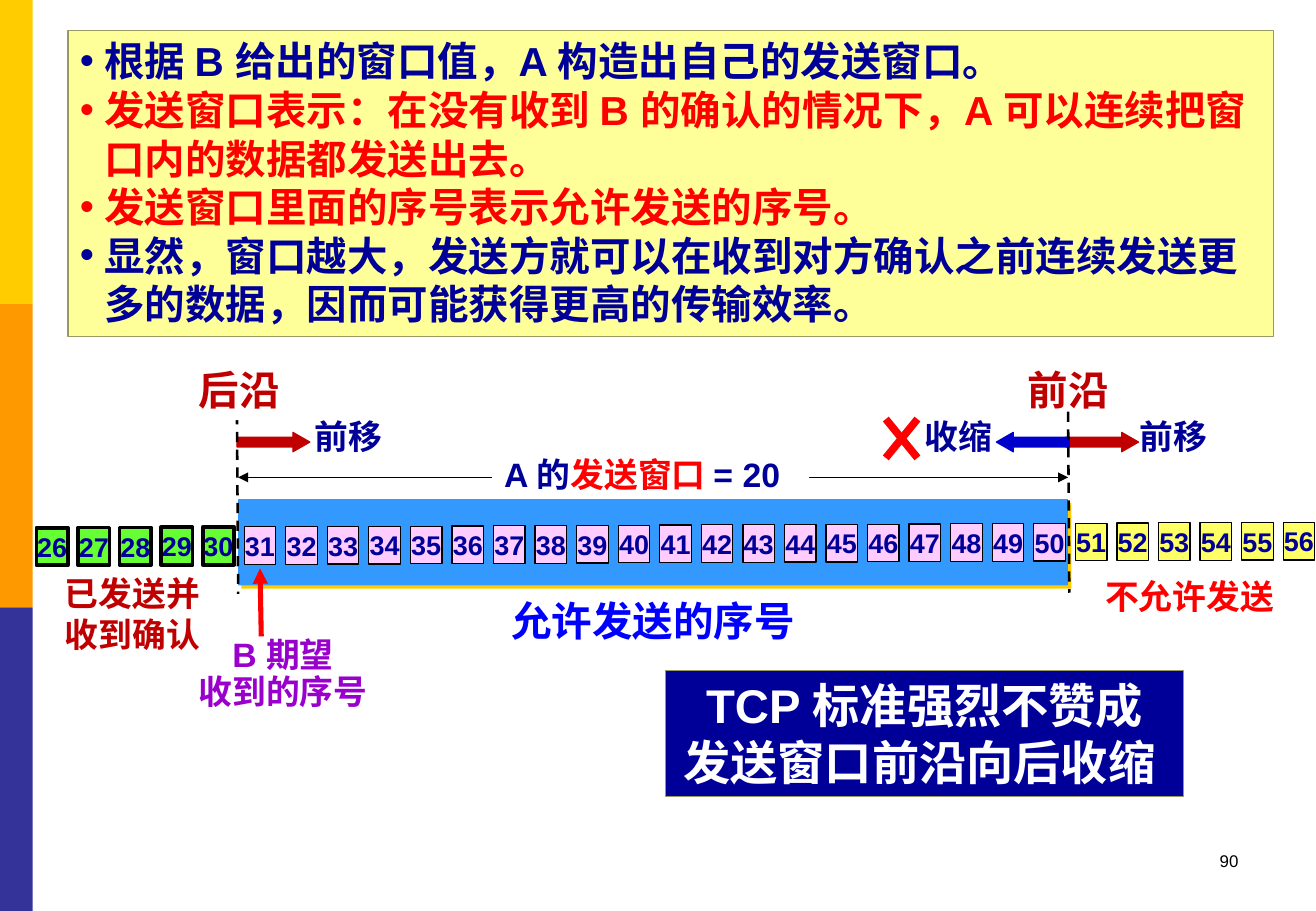
from lxml import etree
from pptx import Presentation
from pptx.dml.color import RGBColor
from pptx.enum.dml import MSO_LINE
from pptx.enum.shapes import MSO_CONNECTOR, MSO_SHAPE
from pptx.enum.text import MSO_ANCHOR, PP_ALIGN
from pptx.oxml.ns import qn
from pptx.util import Inches, Pt

RECT, RIGHT, LEFT = MSO_SHAPE.RECTANGLE, MSO_SHAPE.RIGHT_ARROW, MSO_SHAPE.LEFT_ARROW
DASH, STRAIGHT = MSO_LINE.DASH, MSO_CONNECTOR.STRAIGHT
MID, TOP = MSO_ANCHOR.MIDDLE, MSO_ANCHOR.TOP
CENTER, START, END = PP_ALIGN.CENTER, PP_ALIGN.LEFT, PP_ALIGN.RIGHT

COLORS = {
    "gold": "FFCC00", "orange": "FF9900", "indigo": "333399", "white": "FFFFFF",
    "navy": "000099", "brick": "C00000", "blue": "0000CC", "bright": "0000FF",
    "red": "FF0000", "black": "000000", "sky": "3399FF", "green": "66FF33",
    "pink": "FFCCFF", "lemon": "FFFF66", "purple": "9900CC", "cream": "FFFF99",
    "olive": "999966",
}
FONT = "Arial"
COLS, ROWS = 1083, 750
WIDTH, HEIGHT = Inches(10.83), Inches(7.5)

BANDS = ["gold", "orange", "indigo"]
NOTES = [
    ("根据 B 给出的窗口值，A 构造出自己的发送窗口。", "navy"),
    ("发送窗口表示：在没有收到 B 的确认的情况下，A 可以连续把窗口内的数据都发送出去。", "red"),
    ("发送窗口里面的序号表示允许发送的序号。", "red"),
    ("显然，窗口越大，发送方就可以在收到对方确认之前连续发送更多的数据，因而可能获得更高的传输效率。", "navy"),
]
ADVICE = ["TCP 标准强烈不赞成", "发送窗口前沿向后收缩 "]
SPAN = [[("A 的", "navy"), ("发送窗口 ", "red"), ("= 20", "navy")]]
GROUPS = [(26, 30, "green", 2.25), (31, 50, "pink", 0.75), (51, 56, "lemon", 0.75)]
ARROWS = [(RIGHT, 877, "brick"), (LEFT, 820, "blue"), (RIGHT, 195, "brick")]
UNDER = [
    ((928, 337, 76, 44), ["前移"], "navy", 20),
    ((899, 469, 160, 44), ["不允许发送"], "red", 20),
    ((43, 467, 132, 77), ["已发送并", "收到确认"], "brick", 20),
    ((409, 486, 257, 50), ["允许发送的序号"], "bright", 24),
]
EDGES = [
    ((835, 296, 88, 50), ["前沿"], "brick", 24),
    ((153, 296, 88, 50), ["后沿"], "brick", 24),
]
MOVES = [
    ((249, 337, 76, 44), ["前移"], "navy", 20),
    ((751, 337, 76, 44), ["收缩"], "navy", 20),
]

prs = Presentation()
prs.slide_width, prs.slide_height = WIDTH, HEIGHT
slide = prs.slides.add_slide(prs.slide_layouts[6])
shapes = slide.shapes


def rgb(name):
    return RGBColor.from_string(COLORS[name])


def across(col):
    return round(WIDTH * col / COLS)


def down(row):
    return round(HEIGHT * row / ROWS)


def place(area):
    x, y, w, h = area
    return across(x), down(y), across(w), down(h)


def block(area, fill, edge=None, weight=0.75, kind=RECT):
    shape = shapes.add_shape(kind, *place(area))
    shape.shadow.inherit = False
    shape.fill.solid()
    shape.fill.fore_color.rgb = rgb(fill)
    if edge:
        shape.line.color.rgb = rgb(edge)
        shape.line.width = Pt(weight)
    else:
        shape.line.fill.background()
    return shape


def write(shape, paras, size, align=CENTER, anchor=TOP, wrap=False, bold=True, space=None):
    frame = shape.text_frame
    frame.word_wrap, frame.vertical_anchor = wrap, anchor
    for i, parts in enumerate(paras):
        para = frame.paragraphs[0] if i == 0 else frame.add_paragraph()
        para.alignment = align
        if space:
            para.line_spacing = space
        for text, color in parts:
            run = para.add_run()
            run.text = text
            font = run.font
            font.name, font.size, font.bold = FONT, Pt(size), bold
            font.color.rgb = rgb(color)


def label(area, lines, color, size, fill=None, **style):
    shape = block(area, fill) if fill else shapes.add_textbox(*place(area))
    write(shape, [[(text, color)] for text in lines], size, **style)


def line(start, end, color, weight, dash=None, tips=()):
    (x1, y1), (x2, y2) = start, end
    link = shapes.add_connector(STRAIGHT, across(x1), down(y1), across(x2), down(y2))
    link.line.color.rgb = rgb(color)
    link.line.width = Pt(weight)
    if dash:
        link.line.dash_style = dash
    props = link._element.spPr
    for tip in tips:
        etree.SubElement(props.find(qn("a:ln")), qn(tip), type="triangle")
    etree.SubElement(props, qn("a:effectLst"))


def bullet(para):
    props = para._p.get_or_add_pPr()
    indent = Inches(0.2)
    props.set("marL", str(indent))
    props.set("indent", str(-indent))
    etree.SubElement(props, qn("a:buFont"), typeface=FONT)
    etree.SubElement(props, qn("a:buChar"), char="•")


def cast(shape, color):
    effects = shape._element.spPr.find(qn("a:effectLst"))
    shade = etree.SubElement(effects, qn("a:outerShdw"), blurRad="0", dist=str(Pt(2.8)),
                             dir="2700000", algn="ctr", rotWithShape="0")
    etree.SubElement(shade, qn("a:srgbClr"), val=COLORS[color])


def main():
    tall = ROWS / len(BANDS)
    for i, color in enumerate(BANDS):
        block((0, i * tall, 27, tall), color)

    label(*UNDER[0], fill="white")
    for kind, x, color in ARROWS:
        arrow = block((x, 356, 60, 16), color, color, kind=kind)
        arrow.adjustments[0], arrow.adjustments[1] = 0.5, 0.87
    for item in UNDER[1:3]:
        label(*item, fill="white")
    line((196, 393), (879, 393), "black", 0.75, tips=("a:headEnd", "a:tailEnd"))
    write(block((405, 369, 261, 44), "white"), SPAN, 20, START)
    label(*UNDER[3], fill="white")

    cast(block((196, 411, 683, 71), "sky"), "gold")
    first = GROUPS[0][0]
    for low, high, color, weight in GROUPS:
        for num in range(low, high + 1):
            step = num - first
            cell = block((30 + 34.2 * step, 434.5 - 0.15 * step, 26, 31), color, "black", weight)
            write(cell, [[(str(num), "navy")]], 16, anchor=MID)

    line((215, 524), (214, 468), "red", 3, tips=("a:tailEnd",))
    label((153, 521, 160, 71), ["B 期望", "收到的序号"], "purple", 20, space=0.9)
    line((195, 341), (196, 489), "black", 1.5, DASH)
    for item in EDGES:
        label(*item, fill="white")
    line((879, 339), (880, 488), "black", 1.5, DASH)
    for item in MOVES:
        label(*item)
    for x1, x2 in [(755, 729), (729, 755)]:
        line((x1, 345), (x2, 377), "red", 4.5)

    notes = block((56, 25, 992, 252), "cream", "olive")
    write(notes, [[note] for note in NOTES], 24, START, wrap=True)
    for para in notes.text_frame.paragraphs:
        bullet(para)
    advice = block((548, 552, 426, 104), "navy", "olive")
    write(advice, [[(text, "white")] for text in ADVICE], 28)
    label((776, 695, 253, 50), ["90"], "black", 10, align=END, wrap=True, bold=False)
    prs.save("out.pptx")


if __name__ == "__main__":
    main()
